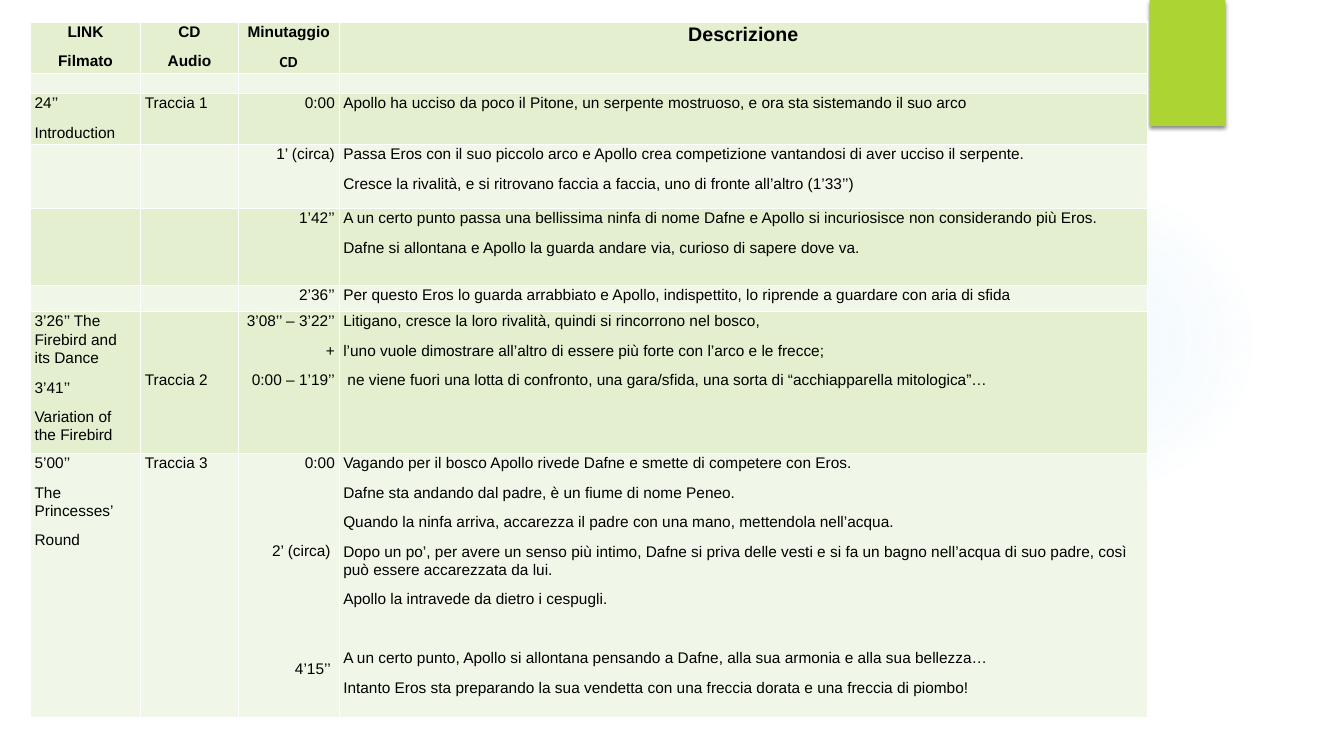
from dataclasses import dataclass, field

from lxml.etree import SubElement
from pptx import Presentation
from pptx.dml.color import RGBColor
from pptx.enum.shapes import MSO_SHAPE
from pptx.enum.text import PP_ALIGN
from pptx.oxml import parse_xml
from pptx.oxml.ns import nsdecls, qn
from pptx.util import Pt

PX = 9525  # EMU per px, 96 px to the inch


@dataclass(frozen=True)
class Theme:
    font: str = "Arial"
    alt: str = "Calibri"
    ink: str = "000000"
    lime: str = "ACD433"
    glow: str = "78C4F1"
    edge: str = "FFFFFF"
    bands: tuple = ("E3EFCE", "F1F7E8")
    body: int = 11
    head: int = 14
    tiny: int = 8


@dataclass(frozen=True)
class Line:
    text: str
    gap: int = 0  # space before, in points
    left: int = 0
    right: int = 0
    size: int = 11
    font: str = "Arial"


@dataclass(frozen=True)
class Cell:
    lines: list = field(default_factory=list)
    top: int = 0


@dataclass(frozen=True)
class Row:
    height: int
    cells: tuple


LOOK = Theme()
NONE = Cell()
COLS = (105, 93, 96, 770)
ALIGN = (PP_ALIGN.LEFT, PP_ALIGN.LEFT, PP_ALIGN.RIGHT, PP_ALIGN.LEFT)


def cell(*items: str | Line, top: int = 0) -> Cell:
    """Turn plain strings into lines of body text."""
    return Cell([Line(i) if isinstance(i, str) else i for i in items], top)


ROWS = [
    Row(49, (cell("LINK", "Filmato"), cell("CD", "Audio"),
             cell("Minutaggio", Line("CD", font=LOOK.alt)),
             cell(Line("Descrizione", size=LOOK.head)))),
    Row(19, (NONE, NONE, NONE, NONE)),
    Row(49, (cell("24’’", "Introduction"), cell("Traccia 1"), cell("0:00"),
             cell("Apollo ha ucciso da poco il Pitone, un serpente mostruoso, "
                  "e ora sta sistemando il suo arco"))),
    Row(61, (NONE, NONE, cell("1’ (circa)"),
             cell("Passa Eros con il suo piccolo arco e Apollo crea competizione "
                  "vantandosi di aver ucciso il serpente.",
                  "Cresce la rivalità, e si ritrovano faccia a faccia, "
                  "uno di fronte all’altro (1’33’’)"))),
    Row(73, (NONE, NONE, cell("1’42’’"),
             cell("A un certo punto passa una bellissima ninfa di nome Dafne e Apollo "
                  "si incuriosisce non considerando più Eros.",
                  "Dafne si allontana e Apollo la guarda andare via, "
                  "curioso di sapere dove va."))),
    Row(25, (NONE, NONE, cell("2’36’’"),
             cell("Per questo Eros lo guarda arrabbiato e Apollo, indispettito, "
                  "lo riprende a guardare con aria di sfida"))),
    Row(135, (cell("3’26’’ The Firebird and its Dance", "3’41’’",
                   "Variation of the Firebird"),
              cell("Traccia 2", top=56),
              cell("3’08’’ – 3’22’’", "+", "0:00 – 1’19’’"),
              cell("Litigano, cresce la loro rivalità, quindi si rincorrono nel bosco,",
                   "l’uno vuole dimostrare all’altro di essere più forte "
                   "con l’arco e le frecce;",
                   Line("ne viene fuori una lotta di confronto, una gara/sfida, "
                        "una sorta di “acchiapparella mitologica”…", left=4)))),
    Row(252, (cell("5’00’’", "The Princesses’", "Round"), cell("Traccia 3"),
              cell("0:00", Line("2’ (circa)", gap=42, right=4),
                   Line("4’15’’", gap=63)),
              cell("Vagando per il bosco Apollo rivede Dafne e smette di competere "
                   "con Eros.",
                   "Dafne sta andando dal padre, è un fiume di nome Peneo.",
                   "Quando la ninfa arriva, accarezza il padre con una mano, "
                   "mettendola nell’acqua.",
                   "Dopo un po’, per avere un senso più intimo, Dafne si priva delle "
                   "vesti e si fa un bagno nell’acqua di suo padre, così può essere "
                   "accarezzata da lui.",
                   "Apollo la intravede da dietro i cespugli.",
                   Line("A un certo punto, Apollo si allontana pensando a Dafne, "
                        "alla sua armonia e alla sua bellezza…", gap=21),
                   "Intanto Eros sta preparando la sua vendetta con una freccia dorata "
                   "e una freccia di piombo!"))),
]


def write(para, text: str, *, align, bold=False, size=LOOK.body, font=LOOK.font,
          gap=0, left=0, right=0) -> None:
    para.alignment = align
    para.line_spacing = 1.07
    para.space_after = Pt(8)
    if gap:
        para.space_before = Pt(gap)
    for name, value in (("marL", left), ("marR", right)):
        if value:
            para._p.get_or_add_pPr().set(name, str(value * PX))
    run = para.add_run()
    run.text = text
    run.font.size, run.font.name, run.font.bold = Pt(size), font, bold
    run.font.color.rgb = RGBColor.from_string(LOOK.ink)


def frame(box) -> None:
    """Give a table cell thin borders on all four sides."""
    props = box._tc.get_or_add_tcPr()
    for side in ("lnL", "lnR", "lnT", "lnB"):
        line = SubElement(props, qn(f"a:{side}"), w=str(Pt(1)))
        fill = SubElement(line, qn("a:solidFill"))
        SubElement(fill, qn("a:srgbClr"), val=LOOK.edge)


def fill_cell(box, data: Cell, *, band: str, align, bold: bool) -> None:
    frame(box)
    box.fill.solid()
    box.fill.fore_color.rgb = RGBColor.from_string(band)
    box.margin_left = box.margin_right = 4 * PX
    box.margin_top, box.margin_bottom = data.top * PX, 0
    text = box.text_frame
    if not data.lines:
        end = SubElement(text.paragraphs[0]._p, qn("a:endParaRPr"))
        end.set("sz", str(LOOK.tiny * 100))
    for i, line in enumerate(data.lines):
        para = text.add_paragraph() if i else text.paragraphs[0]
        write(para, line.text, align=align, bold=bold, size=line.size,
              font=line.font, gap=line.gap, left=line.left, right=line.right)


def add_grid(slide) -> None:
    width, height = sum(COLS), sum(r.height for r in ROWS)
    grid = slide.shapes.add_table(len(ROWS), len(COLS), 29 * PX, 21 * PX,
                                  width * PX, height * PX).table
    grid.first_row = grid.horz_banding = False
    for col, size in zip(grid.columns, COLS):
        col.width = size * PX
    for i, row in enumerate(ROWS):
        grid.rows[i].height = row.height * PX
        for j, data in enumerate(row.cells):
            fill_cell(grid.cell(i, j), data, band=LOOK.bands[i % 2], bold=i == 0,
                      align=ALIGN[j] if i else PP_ALIGN.CENTER)


def add_shape(slide, kind, left: int, top: int, width: int, height: int):
    shape = slide.shapes.add_shape(kind, left * PX, top * PX, width * PX, height * PX)
    shape.shadow.inherit = False
    shape.line.fill.background()
    return shape


def add_glow(slide) -> None:
    """Draw the faint radial disc behind the table."""
    disc = add_shape(slide, MSO_SHAPE.OVAL, 903, 176, 296, 296)
    stops = "".join(
        f'<a:gs pos="{pos}000"><a:srgbClr val="{LOOK.glow}">'
        f'<a:alpha val="{alpha}000"/></a:srgbClr></a:gs>'
        for pos, alpha in ((0, 7), (36, 6), (69, 0), (100, 0)))
    disc.fill.background()
    props = disc._element.spPr
    props.replace(props.find(qn("a:noFill")), parse_xml(
        f'<a:gradFill {nsdecls("a")}><a:gsLst>{stops}</a:gsLst><a:path path="circle">'
        '<a:fillToRect l="50000" t="50000" r="50000" b="50000"/></a:path></a:gradFill>'))


def add_tab(slide) -> None:
    """Draw the lime block with its soft shadow."""
    tab = add_shape(slide, MSO_SHAPE.RECTANGLE, 1095, 0, 72, 120)
    tab.fill.solid()
    tab.fill.fore_color.rgb = RGBColor.from_string(LOOK.lime)
    effects = tab._element.spPr.find(qn("a:effectLst"))
    shade = SubElement(effects, qn("a:outerShdw"), blurRad=str(Pt(3)),
                       dist=str(Pt(2)), dir="5400000", rotWithShape="0")
    color = SubElement(shade, qn("a:srgbClr"), val=LOOK.ink)
    SubElement(color, qn("a:alpha"), val="45000")


def main() -> None:
    deck = Presentation()
    deck.slide_width, deck.slide_height = 1280 * PX, 720 * PX
    slide = deck.slides.add_slide(deck.slide_layouts[6])
    add_glow(slide)
    add_tab(slide)
    add_grid(slide)
    deck.save("out.pptx")


if __name__ == "__main__":
    main()
